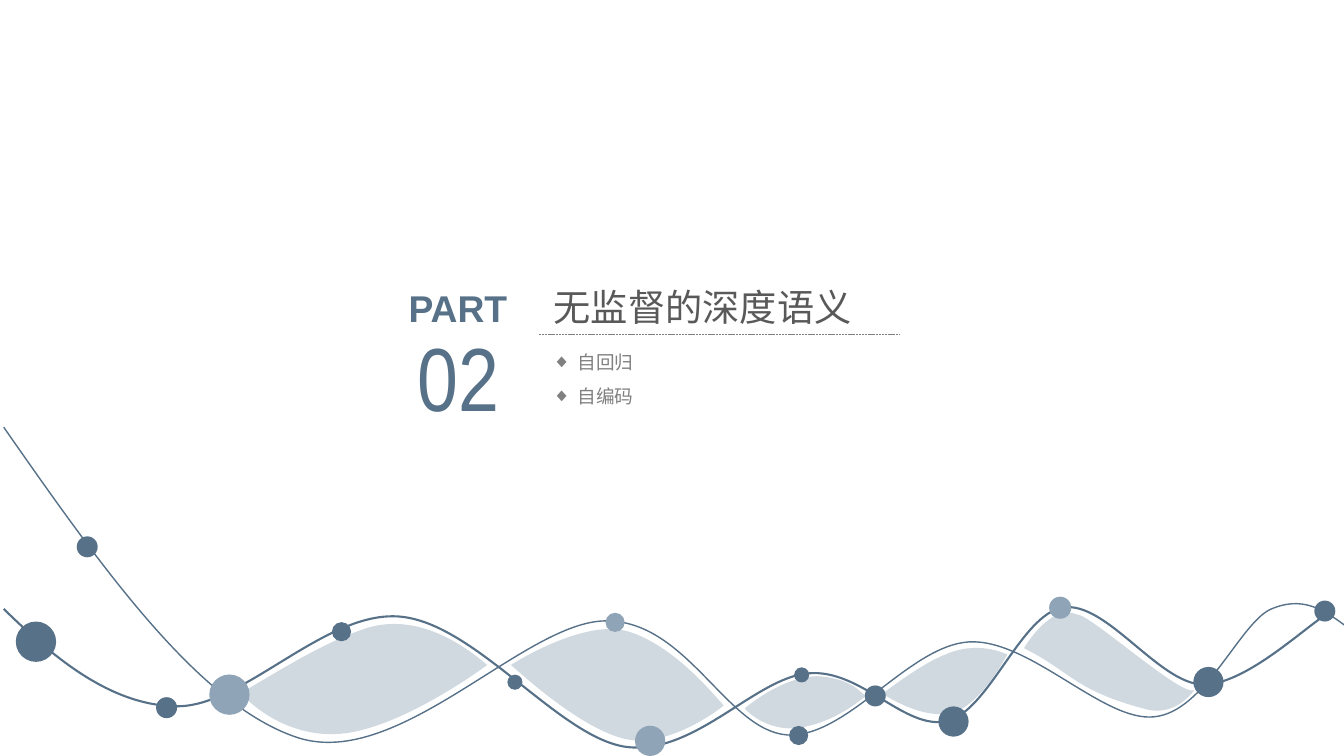
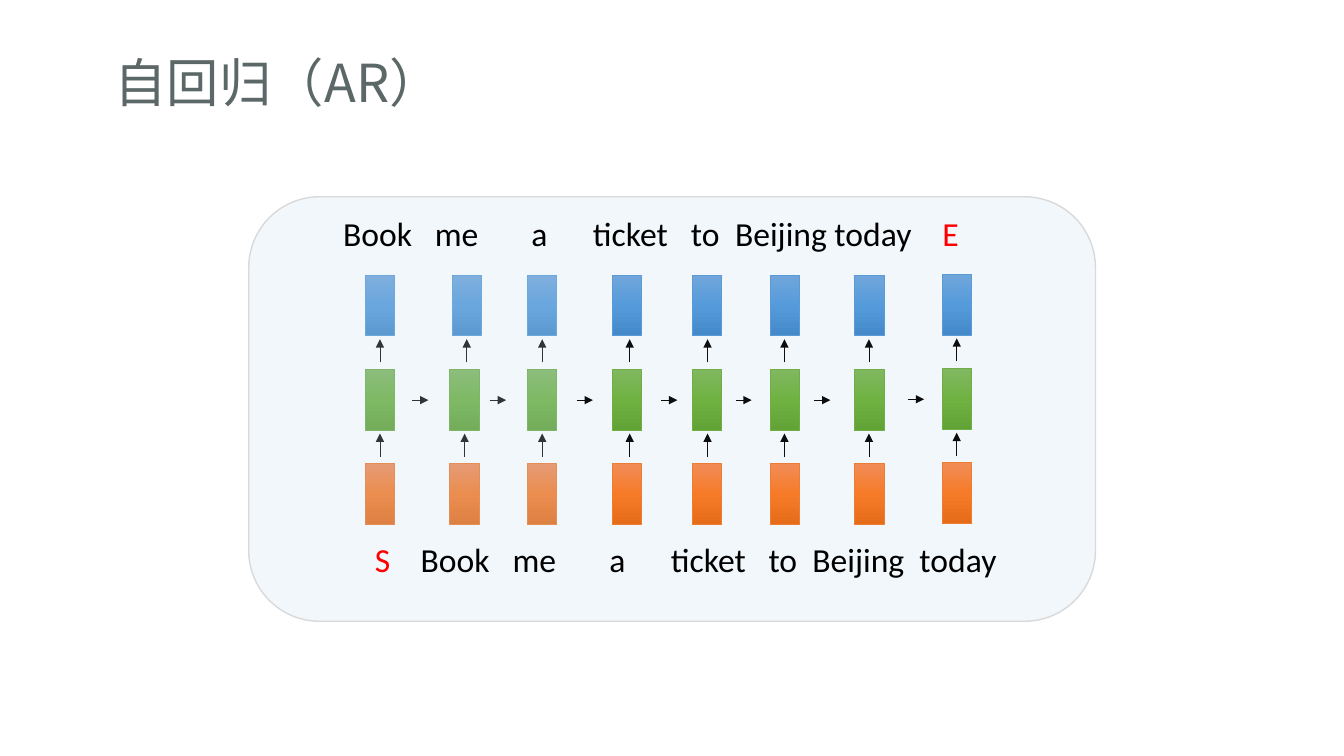
"""Build a section opener and an autoregression diagram."""
from copy import deepcopy
from dataclasses import dataclass

from lxml import etree
from pptx import Presentation
from pptx import util as u
from pptx.dml.color import RGBColor
from pptx.enum import dml, shapes, text
from pptx.oxml.ns import qn


@dataclass(frozen=True)
class Theme:
    """Colours, fonts and type sizes of the deck."""
    blue: str = "577188"
    light_blue: str = "8FA4B7"
    heading: str = "595959"
    grey: str = "808080"
    slide_title: str = "5C6767"
    black: str = "000000"
    red: str = "FF0000"
    arrow: str = "0D0D0D"
    panel: str = "BDD7EE"
    panel_line: str = "D9D9D9"
    output: tuple = ("71A6DB", "559BDB", "448ACA", "5B9BD5")
    hidden: tuple = ("81B861", "6FB242", "62A336", "70AD47")
    input: tuple = ("F18C57", "F67B28", "E56C19", "ED7D31")
    font: str = "Arial"
    narrow: str = "Arial Narrow"
    cjk: str = "Noto Sans CJK SC"
    latin: str = "Calibri"
    number_size: float = 64
    title_size: float = 37.4
    section_size: float = 26.6
    word_size: float = 24
    list_size: float = 13.3


@dataclass(frozen=True)
class Step:
    """Placement of one time step in the diagram."""
    left: float
    center: float
    incoming: float = 0
    output_shift: float = 0
    rise: float = 0


THEME = Theme()
SECTION_MARGINS = (9.6, 4.8)
TITLE_MARGINS = (12.2, 6)
WORD_MARGINS = (7.2, 3.6)

LEAVES = [
    [(172, 495), (199, 479.5, 227.5, 461, 258, 450), (276.5, 443, 307.5, 440.5, 348, 475),
     (348, 475, 296.5, 513.5, 254, 522.5), (212.5, 531.5, 181.5, 506, 172, 495)],
    [(365, 475), (365, 475, 418.5, 440.5, 450, 451.5), (482.5, 462, 510.5, 497, 517, 504),
     (517, 504, 486.5, 529, 456, 529), (427.5, 529, 384, 492, 365, 475)],
    [(532, 506), (532, 506, 558.5, 483, 584, 483), (609, 484.5, 615, 495.5, 618.5, 497),
     (618.5, 497, 600, 513.5, 577.5, 518.5), (554.5, 525, 537, 512, 532, 506)],
    [(630.5, 495.5), (630.5, 495.5, 658, 474, 675.5, 467.5),
     (688.5, 461.5, 705, 461, 719.5, 467.5), (719.5, 467.5, 700.5, 504, 680.5, 509),
     (659, 515, 630.5, 495.5, 630.5, 495.5)],
    [(731.5, 463), (731.5, 463, 750, 430.5, 769.5, 439), (779, 439, 844, 498, 853, 493),
     (853, 493, 839.5, 513.5, 816.5, 506), (767.5, 493, 764.5, 479.5, 731.5, 463)],
]
THICK_WAVE = [
    (2.7, 435), (38, 469.5, 79, 504, 126, 504.5), (173.5, 505.5, 232.5, 435.5, 286, 440.5),
    (340, 445.5, 399, 526.5, 447, 533.5), (496, 540, 539.5, 484, 577.5, 481),
    (615.5, 477.5, 646.5, 522.5, 677, 515), (707, 507, 729.5, 438.5, 759.5, 434),
    (790, 429, 827.5, 488, 859, 489), (890.5, 489.5, 934.5, 445.5, 950.5, 437)]
THIN_WAVE = [
    (2.7, 305.2), (72, 404.5, 142, 504, 213, 527), (285, 550, 374.5, 444, 432.5, 443.5),
    (491, 443, 519, 522, 562.5, 525), (605.5, 527, 649, 461, 692.5, 458.5),
    (736, 456.5, 788.5, 516, 824.5, 512), (860.5, 508.5, 885, 446.5, 907, 435.5),
    (930, 425, 945.5, 435.5, 961, 447)]
THICK_DOTS = [
    (111.5, 498, 15, THEME.blue), (11.3, 444, 28.8, THEME.blue),
    (237.1, 444.4, 13.7, THEME.blue), (362.4, 481.9, 10.8, THEME.blue),
    (453.6, 518.4, 21.6, THEME.light_blue), (567.2, 476.7, 10.8, THEME.blue),
    (670.3, 504.6, 21.6, THEME.blue), (749.4, 426.2, 15.8, THEME.light_blue),
    (852.4, 476.4, 21.6, THEME.blue)]
THIN_DOTS = [
    (54.8, 383.1, 15, THEME.blue), (149.5, 481.8, 28.8, THEME.light_blue),
    (432.5, 437.7, 13.7, THEME.light_blue), (563.6, 518.5, 13.7, THEME.blue),
    (617.7, 489.6, 15, THEME.blue), (938.8, 429, 15, THEME.blue)]

STEPS = [
    Step(260.7, 271.4), Step(321.3, 331.9, 294.5, 1.5), Step(376.6, 387.3, 350),
    Step(437.2, 449.8, 412), Step(494.6, 505.4, 472.3), Step(550, 560.3, 525.4),
    Step(610.5, 620.7, 581.7), Step(673, 683.4, 648.6, rise=0.6)]
BAR_WIDTH, BAR_HEIGHT, BAR_TOP, BAR_PITCH = 21, 43.5, 196.4, 67.4


def points(*values):
    """Convert numbers to point lengths."""
    return [u.Pt(value) for value in values]


def add_xml(parent, tag, **attributes):
    """Append a DrawingML element to a parent."""
    return etree.SubElement(parent, qn(tag), attributes)


def paint(shape, fill=None, alpha=None, line=None, width=1):
    """Set the fill and outline of a shape and drop its shadow."""
    shape.shadow.inherit = False
    if fill:
        shape.fill.solid()
        shape.fill.fore_color.rgb = RGBColor.from_string(fill)
        if alpha:
            color = shape.fill._xPr.find(".//" + qn("a:srgbClr"))
            add_xml(color, "a:alpha", val=str(alpha * 1000))
    else:
        shape.fill.background()
    outline(shape, line, width)


def outline(shape, color, width):
    """Draw the outline of a shape, or hide it when no colour is given."""
    if color:
        shape.line.color.rgb = RGBColor.from_string(color)
        shape.line.width = u.Pt(width)
    else:
        shape.line.fill.background()


def add_text(paragraph, content, size, color, font=THEME.font, bold=False):
    """Add a formatted run to a paragraph."""
    run = paragraph.add_run()
    run.text = content
    run.font.size = u.Pt(size)
    run.font.bold = bold
    run.font.name = font
    run.font.color.rgb = RGBColor.from_string(color)
    add_xml(run._r.get_or_add_rPr(), "a:ea", typeface=THEME.cjk)


def place_frame(shape, box, margins, align=text.PP_ALIGN.LEFT):
    """Position a text shape and return its first paragraph."""
    shape.left, shape.top, shape.width, shape.height = points(*box)
    frame = shape.text_frame
    frame.word_wrap = True
    frame.auto_size = text.MSO_AUTO_SIZE.NONE
    frame.vertical_anchor = text.MSO_ANCHOR.TOP
    frame.margin_left = frame.margin_right = u.Pt(margins[0])
    frame.margin_top = frame.margin_bottom = u.Pt(margins[1])
    paragraph = frame.paragraphs[0]
    paragraph.alignment = align
    return paragraph


def add_box(slide, box, margins, align=text.PP_ALIGN.LEFT):
    """Add a text box and return its first paragraph."""
    return place_frame(slide.shapes.add_textbox(*points(*box)), box, margins, align)


def add_list(shape, box, items):
    """Fill a body placeholder with a diamond list."""
    place_frame(shape, box, SECTION_MARGINS)
    for index, item in enumerate(items):
        frame = shape.text_frame
        paragraph = frame.add_paragraph() if index else frame.paragraphs[0]
        paragraph.line_spacing = 1.5
        paragraph.space_before = u.Pt(0)
        properties = paragraph._p.get_or_add_pPr()
        properties.set("marL", str(u.Pt(18)))
        properties.set("indent", str(u.Pt(-18)))
        add_xml(properties, "a:buFont", typeface=THEME.font)
        add_xml(properties, "a:buChar", char="◆")
        add_text(paragraph, item, THEME.list_size, THEME.grey)


def add_line(slide, start, end, color, dash=None, arrow=False):
    """Add a thin straight line, dashed or with an arrowhead."""
    line = slide.shapes.add_connector(shapes.MSO_CONNECTOR.STRAIGHT, *points(*start, *end))
    outline(line, color, 0.5)
    if dash:
        line.line.dash_style = dash
    if arrow:
        add_xml(line.line._get_or_add_ln(), "a:tailEnd", type="triangle")
    add_xml(line._element.spPr, "a:effectLst")


def curve_points(segments, steps=24):
    """Sample Bézier segments to find how far the curve reaches."""
    start = segments[0]
    for segment in segments[1:]:
        controls = list(zip((start + segment)[::2], (start + segment)[1::2]))
        for step in range(1, steps + 1):
            t = step / steps
            s = 1 - t
            weights = (s ** 3, 3 * s * s * t, 3 * s * t * t, t ** 3)
            yield points(*(sum(w * v for w, v in zip(weights, axis))
                           for axis in zip(*controls)))
        start = segment[-2:]


def add_curve(container, segments, closed=False, **style):
    """Add a freeform made of cubic Bézier segments."""
    builder = container.build_freeform(*points(*segments[0]))
    builder.add_line_segments(list(curve_points(segments)), close=closed)
    shape = builder.convert_to_shape()
    outline_path = shape._element.spPr.find(".//" + qn("a:path"))
    for element in outline_path[1:]:
        outline_path.remove(element)
    for segment in segments[1:]:
        bezier = add_xml(outline_path, "a:cubicBezTo")
        for x, y in zip(segment[::2], segment[1::2]):
            add_xml(bezier, "a:pt", x=str(u.Pt(x) - shape.left), y=str(u.Pt(y) - shape.top))
    if closed:
        add_xml(outline_path, "a:close")
    paint(shape, **style)


def add_dots(slide, dots):
    """Add round beads along a wave."""
    for left, top, size, color in dots:
        dot = slide.shapes.add_shape(shapes.MSO_SHAPE.OVAL, *points(left, top, size, size))
        paint(dot, fill=color)


def add_bar(slide, left, top, colors):
    """Add one cell with a three-stop vertical gradient."""
    bar = slide.shapes.add_shape(shapes.MSO_SHAPE.RECTANGLE,
                                 *points(left, top, BAR_WIDTH, BAR_HEIGHT))
    bar.shadow.inherit = False
    bar.fill.gradient()
    bar.fill.gradient_angle = 270
    stop_list = bar._element.spPr.find(".//" + qn("a:gsLst"))
    stop_list.append(deepcopy(stop_list[0]))
    for index, stop in enumerate(bar.fill.gradient_stops):
        stop.position = index / 2
        stop.color.rgb = RGBColor.from_string(colors[index])
    outline(bar, colors[3], 0.5)


def add_step(slide, step):
    """Add one time step with its bars and arrows."""
    for row, colors in enumerate((THEME.output, THEME.hidden, THEME.input)):
        top = BAR_TOP + row * BAR_PITCH - step.rise
        add_bar(slide, step.left + (0 if row else step.output_shift), top, colors)
        if row:
            center = step.center + (step.output_shift if row == 1 else 0)
            add_line(slide, (center, top - 5), (center, top - 21.5), THEME.arrow, arrow=True)
    if step.incoming:
        y = 285.8 - step.rise
        add_line(slide, (step.incoming, y), (step.incoming + 11.5, y), THEME.arrow, arrow=True)


def add_words(slide, box, stops, *runs):
    """Add a row of words on tab stops from (text, colour) runs."""
    paragraph = add_box(slide, box, WORD_MARGINS)
    tabs = add_xml(paragraph._p.get_or_add_pPr(), "a:tabLst")
    for stop in stops:
        add_xml(tabs, "a:tab", pos=str(u.Pt(stop)), algn="l")
    for content, color in runs:
        add_text(paragraph, content, THEME.word_size, color, THEME.latin)


def build_section(presentation):
    """Build the section opener with its wave ornament."""
    slide = presentation.slides.add_slide(presentation.slide_layouts[1])
    center = text.PP_ALIGN.CENTER
    number = add_box(slide, (251.3, 225, 152.6, 87.1), SECTION_MARGINS, center)
    add_text(number, "02", THEME.number_size, THEME.blue, THEME.narrow)
    title = place_frame(slide.shapes.title, (342.2, 198, 319.7, 41.8), SECTION_MARGINS, center)
    add_text(title, "无监督的深度语义", THEME.section_size, THEME.heading)
    add_list(slide.placeholders[1], (385, 238, 258.5, 55.4), ["自回归", "自编码"])
    part = add_box(slide, (258, 199, 138.2, 41.8), SECTION_MARGINS, center)
    add_text(part, "PART", THEME.section_size, THEME.blue, bold=True)
    add_line(slide, (385, 239), (643, 239), THEME.grey, dash=dml.MSO_LINE.SQUARE_DOT)
    leaf_group = slide.shapes.add_group_shape()
    for leaf in LEAVES:
        add_curve(leaf_group.shapes, leaf, closed=True, fill=THEME.light_blue, alpha=42)
    add_curve(slide.shapes, THICK_WAVE, line=THEME.blue, width=1.5)
    add_dots(slide, THICK_DOTS)
    add_curve(slide.shapes, THIN_WAVE, line=THEME.blue, width=1)
    add_dots(slide, THIN_DOTS)


def build_autoregression(presentation):
    """Build the autoregression diagram."""
    slide = presentation.slides.add_slide(presentation.slide_layouts[5])
    title = place_frame(slide.shapes.title, (69.7, 30, 448, 57.6), TITLE_MARGINS)
    add_text(title, "自回归（AR）", THEME.title_size, THEME.slide_title, THEME.cjk)
    for step in STEPS[:3]:
        add_step(slide, step)
    panel = slide.shapes.add_shape(shapes.MSO_SHAPE.ROUNDED_RECTANGLE,
                                   *points(177.7, 140.6, 604.8, 303.2))
    paint(panel, fill=THEME.panel, alpha=20, line=THEME.panel_line)
    for step in STEPS[3:]:
        add_step(slide, step)
    sentence = "Book\tme\ta\tticket\tto\tBeijing\ttoday"
    add_words(slide, (260.7, 381.4, 468.7, 36), (32.7, 98.4, 167.5, 211.5, 281.2, 312.5, 389),
              ("S", THEME.red), ("\t" + sentence, THEME.black))
    add_words(slide, (238, 148.6, 486.7, 36), (65.5, 134.5, 178.5, 248.5, 280, 351, 428),
              (sentence + "\t", THEME.black), ("E", THEME.red))


def main():
    """Build and save the presentation."""
    presentation = Presentation()
    presentation.slide_width, presentation.slide_height = points(960, 540)
    build_section(presentation)
    build_autoregression(presentation)
    presentation.save("out.pptx")


if __name__ == "__main__":
    main()
